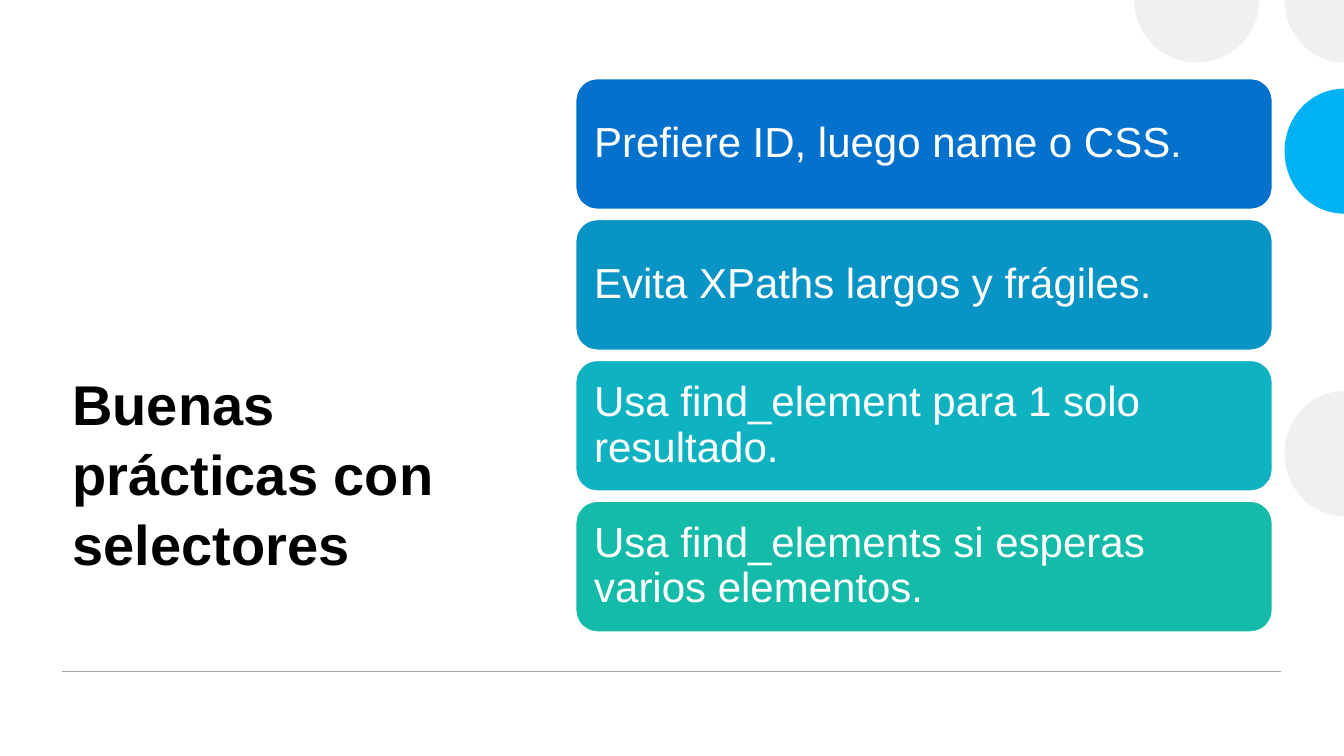
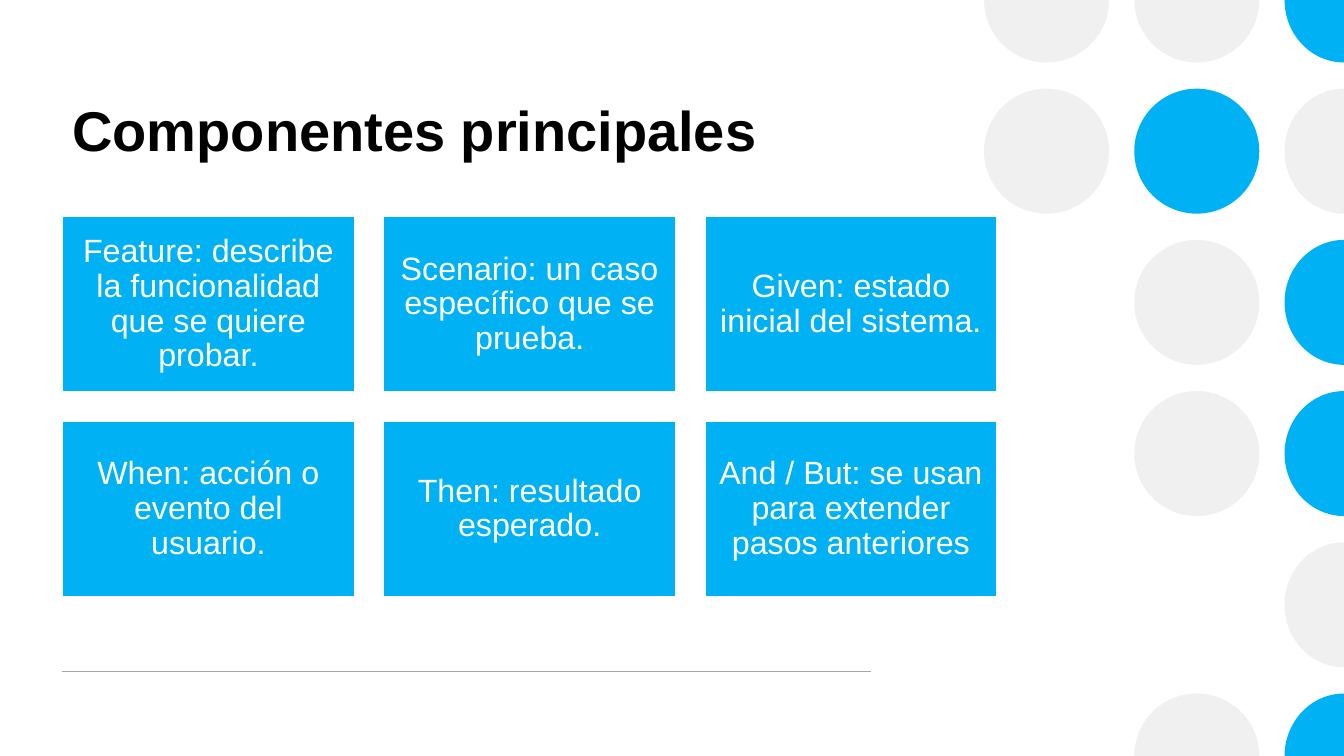
from dataclasses import dataclass
from math import cos, pi, sin

from pptx import Presentation
from pptx.dml.color import RGBColor
from pptx.enum.shapes import MSO_CONNECTOR, MSO_SHAPE
from pptx.enum.text import MSO_ANCHOR, PP_ALIGN
from pptx.oxml.ns import qn
from pptx.util import Inches, Pt


@dataclass(frozen=True)
class Theme:
    font: str = "Arial"
    title_size: int = 40
    title_color: str = "000000"
    white: str = "FFFFFF"
    gray: str = "EFF0EF"
    blue: str = "00B2F3"
    rule: str = "A6A6A6"


THEME = Theme()
WIDTH, HEIGHT = 13.33, 7.5
MARGIN = 0.62
RULE_TOP = 6.66
DOT_RADIUS = 0.62
DOT_COLUMN, DOT_ROW = 1.49, 1.5
DOT_LEFT = 10.38
DOT_COLORS = {"g": THEME.gray, "b": THEME.blue}

SLIDES = [
    {
        "title": "Buenas prácticas con selectores",
        "title_area": (MARGIN, 2.72, 3.95, 3.05),
        "title_anchor": MSO_ANCHOR.BOTTOM,
        "dots": [".gg", "..b", "...", "..g"],
        "rule_end": 12.71,
        "cards": [
            ("Prefiere ID, luego name o CSS.", "0471CC"),
            ("Evita XPaths largos y frágiles.", "0994C6"),
            ("Usa find_element para 1 solo resultado.", "0FB2C1"),
            ("Usa find_elements si esperas varios elementos.", "14BBA9"),
        ],
        "grid": {"area": (5.71, 0.78, 6.91, 5.49), "columns": 1, "gap": 0.1},
        "style": {"preset": MSO_SHAPE.ROUNDED_RECTANGLE, "size": 30,
                  "inset": 0.12, "align": PP_ALIGN.LEFT},
    },
    {
        "title": "Componentes principales",
        "title_area": (MARGIN, 0.87, 8.02, 1.2),
        "title_anchor": MSO_ANCHOR.TOP,
        "dots": ["ggb", "gbg", ".gb", ".gb", "..g", ".gb"],
        "rule_end": 8.64,
        "cards": [
            ("Feature: describe la funcionalidad que se quiere probar.", THEME.blue),
            ("Scenario: un caso específico que se prueba.", THEME.blue),
            ("Given: estado inicial del sistema.", THEME.blue),
            ("When: acción o evento del usuario.", THEME.blue),
            ("Then: resultado esperado.", THEME.blue),
            ("And / But: se usan para extender pasos anteriores", THEME.blue),
        ],
        "grid": {"area": (MARGIN, 2.15, 9.27, 3.77), "columns": 3, "gap": 0.29},
        "style": {"preset": MSO_SHAPE.RECTANGLE, "size": 23,
                  "inset": 0.1, "align": PP_ALIGN.CENTER},
    },
]


def color(value):
    return RGBColor.from_string(value)


def paint(shape, fill, line=None):
    shape.shadow.inherit = False
    shape.fill.solid()
    shape.fill.fore_color.rgb = color(fill)
    if line:
        shape.line.color.rgb = color(line)
        shape.line.width = Pt(1)
    else:
        shape.line.fill.background()


def write(shape, text, size, text_color, anchor, align, spacing, bold=False):
    frame = shape.text_frame
    frame.word_wrap = True
    frame.vertical_anchor = anchor
    frame.text = text
    para = frame.paragraphs[0]
    para.alignment = align
    para.line_spacing = spacing
    font = para.runs[0].font
    font.name = THEME.font
    font.size = Pt(size)
    font.bold = bold
    font.color.rgb = color(text_color)


def cut_dot(slide, x, y, quadrants):
    center_x = min(x, WIDTH)
    radius_x = center_x - (x - DOT_RADIUS)
    angles = [quadrant * pi / 2 for quadrant in quadrants]
    angles.append(angles[-1] + pi / 2)
    points = [(Inches(center_x + radius_x * cos(angle)),
               Inches(y + DOT_RADIUS * sin(angle))) for angle in angles]
    builder = slide.shapes.build_freeform(*points[0])
    builder.add_line_segments(points[1:] + [(Inches(center_x), Inches(y))])
    dot = builder.convert_to_shape()
    sides = list(dot._element.spPr.iter(qn("a:lnTo")))
    for side, quadrant in zip(sides, quadrants):
        arc = side.makeelement(qn("a:arcTo"), {
            "wR": str(Inches(radius_x)), "hR": str(Inches(DOT_RADIUS)),
            "stAng": str(quadrant * 5400000), "swAng": "5400000"})
        side.getparent().replace(side, arc)
    return dot


def add_dot(slide, x, y, fill):
    right = x + DOT_RADIUS <= WIDTH
    down, up = y < HEIGHT, y > 0
    visible = (down and right, down, up, up and right)
    if all(visible):
        dot = slide.shapes.add_shape(
            MSO_SHAPE.OVAL, Inches(x - DOT_RADIUS), Inches(y - DOT_RADIUS),
            Inches(2 * DOT_RADIUS), Inches(2 * DOT_RADIUS))
    else:
        quadrants = [index for index, shown in enumerate(visible) if shown]
        dot = cut_dot(slide, x, y, quadrants)
    paint(dot, fill)


def add_dots(slide, rows):
    for row, marks in enumerate(rows):
        for column, mark in enumerate(marks):
            if mark in DOT_COLORS:
                add_dot(slide, DOT_LEFT + column * DOT_COLUMN, row * DOT_ROW,
                        DOT_COLORS[mark])


def add_rule(slide, end):
    rule = slide.shapes.add_connector(
        MSO_CONNECTOR.STRAIGHT, Inches(MARGIN), Inches(RULE_TOP),
        Inches(end), Inches(RULE_TOP))
    rule.line.color.rgb = color(THEME.rule)
    rule.line.width = Pt(1)
    properties = rule._element.spPr
    properties.append(properties.makeelement(qn("a:effectLst"), {}))


def add_title(slide, text, area, anchor):
    box = slide.shapes.add_textbox(*map(Inches, area))
    write(box, text, THEME.title_size, THEME.title_color, anchor,
          PP_ALIGN.LEFT, 1.04, bold=True)


def add_cards(slide, cards, grid, style):
    left, top, width, height = grid["area"]
    columns, gap = grid["columns"], grid["gap"]
    rows = len(cards) // columns
    card_width = (width - gap * (columns - 1)) / columns
    card_height = (height - gap * (rows - 1)) / rows
    for index, (text, fill) in enumerate(cards):
        row, column = divmod(index, columns)
        card = slide.shapes.add_shape(
            style["preset"],
            Inches(left + column * (card_width + gap)),
            Inches(top + row * (card_height + gap)),
            Inches(card_width), Inches(card_height))
        paint(card, fill, THEME.white)
        frame = card.text_frame
        frame.margin_left = frame.margin_right = Inches(style["inset"])
        frame.margin_top = frame.margin_bottom = Inches(style["inset"])
        write(card, text, style["size"], THEME.white, MSO_ANCHOR.MIDDLE,
              style["align"], 0.9)


def main():
    deck = Presentation()
    deck.slide_width = Inches(WIDTH)
    deck.slide_height = Inches(HEIGHT)
    for content in SLIDES:
        slide = deck.slides.add_slide(deck.slide_layouts[6])
        add_dots(slide, content["dots"])
        add_rule(slide, content["rule_end"])
        add_title(slide, content["title"], content["title_area"],
                  content["title_anchor"])
        add_cards(slide, content["cards"], content["grid"], content["style"])
    deck.save("out.pptx")


if __name__ == "__main__":
    main()
